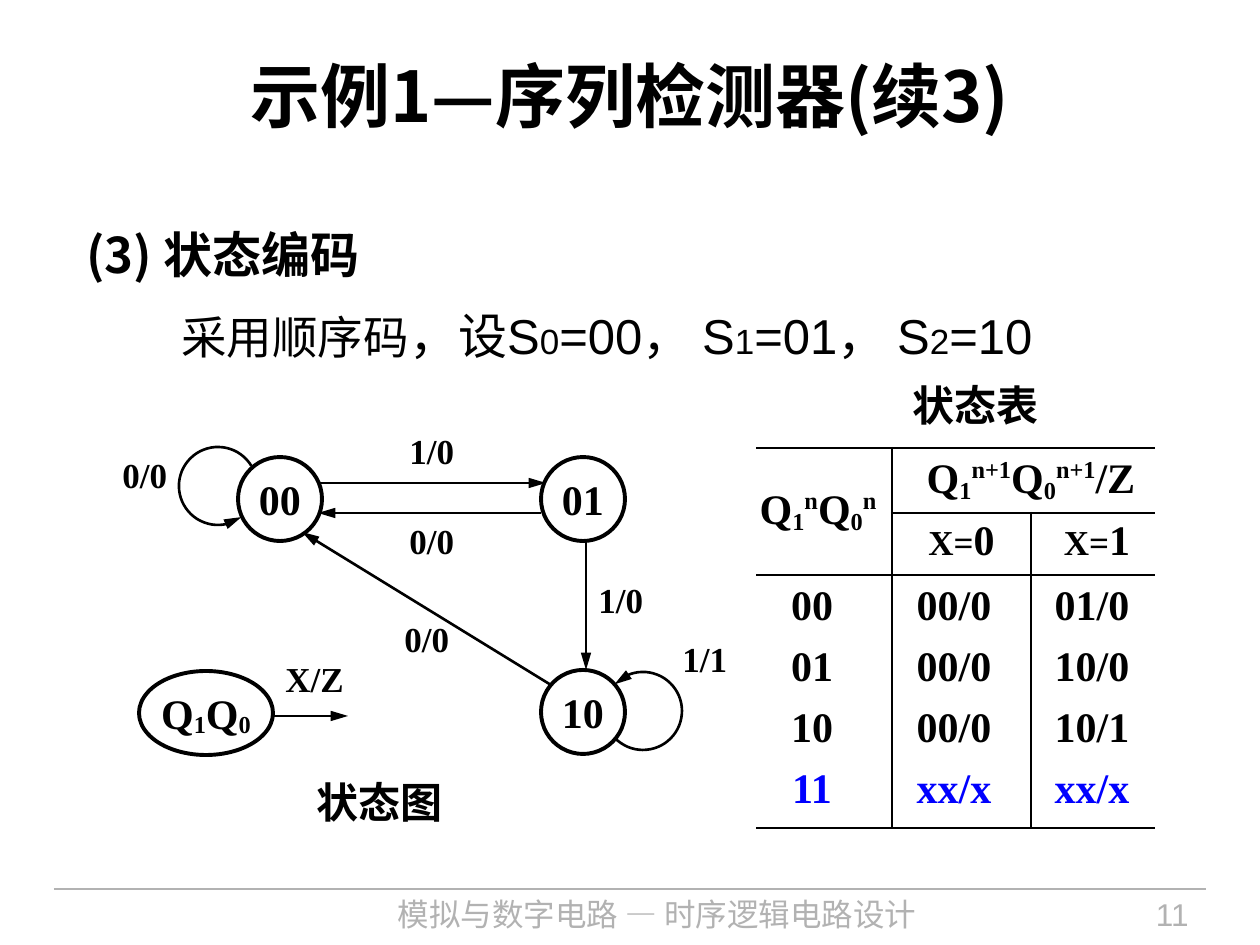
import math
from lxml import etree
from pptx import Presentation
from pptx.dml import color
from pptx.enum import shapes, text
from pptx.oxml import ns
from pptx import util as u

SCALE = 914400 / 126
BLACK, GREY, BLUE = "000000", "B2B2B2", "0000FF"
ROMAN, ARIAL, NOTO = "Times New Roman", "Arial", "Noto Sans CJK SC"
LEFT, MID, RIGHT = text.PP_ALIGN.LEFT, text.PP_ALIGN.CENTER, text.PP_ALIGN.RIGHT


def px(n):
    return u.Emu(round(n * SCALE))


def rgb(code):
    return color.RGBColor.from_string(code)


def add(parent, tag, **attrs):
    return etree.SubElement(parent, ns.qn(tag), attrs)


class Sketch:
    def __init__(self, slide):
        self.slide = slide
        self.shapes = slide.shapes

    def fill_text(self, para, runs, font=ROMAN, ink=BLACK, bold=True, align=LEFT):
        """Add runs given as (text, size) or (text, size, baseline in percent)."""
        para.alignment = align
        for words, size, *shift in runs:
            run = para.add_run()
            run.text = words
            run.font.size = u.Pt(size)
            run.font.bold = bold
            run.font.name = font
            run.font.color.rgb = rgb(ink)
            props = run.font._element
            add(props, "a:ea", typeface=NOTO)
            if shift:
                props.set("baseline", str(shift[0] * 1000))

    def label(self, x, y, w, h, runs, wrap=False, middle=False, **style):
        frame = self.shapes.add_textbox(px(x), px(y), px(w), px(h)).text_frame
        frame.word_wrap = wrap
        if not wrap:
            frame.margin_right = 0
        if middle:
            frame.vertical_anchor = text.MSO_ANCHOR.MIDDLE
        self.fill_text(frame.paragraphs[0], runs, **style)

    def stroke(self, line, width, ink=BLACK, head=False):
        line.color.rgb = rgb(ink)
        line.width = u.Pt(width)
        if head:
            add(line._get_or_add_ln(), "a:tailEnd", type="triangle", len="lg")

    def line(self, x1, y1, x2, y2, width=1.5, ink=BLACK, head=True):
        link = self.shapes.add_connector(
            shapes.MSO_CONNECTOR.STRAIGHT, px(x1), px(y1), px(x2), px(y2))
        self.stroke(link.line, width, ink, head)
        add(link._element.spPr, "a:effectLst")

    def state(self, x, y, w, h, runs):
        oval = self.shapes.add_shape(
            shapes.MSO_SHAPE.OVAL, px(x), px(y), px(w), px(h))
        oval.shadow.inherit = False
        oval.fill.background()
        self.stroke(oval.line, 2.25)
        frame = oval.text_frame
        frame.word_wrap = False
        frame.vertical_anchor = text.MSO_ANCHOR.MIDDLE
        self.fill_text(frame.paragraphs[0], runs, align=MID)

    def loop(self, x, y, radius, start, end, steps=48):
        """Draw an open arc with an arrowhead; angles are in degrees."""
        points = []
        for i in range(steps + 1):
            turn = math.radians(start + (end - start) * i / steps)
            points.append((px(x + radius * math.cos(turn)),
                           px(y + radius * math.sin(turn))))
        path = self.shapes.build_freeform(*points[0], scale=1.0)
        path.add_line_segments(points[1:], close=False)
        arc = path.convert_to_shape()
        arc.shadow.inherit = False
        arc.fill.background()
        self.stroke(arc.line, 1.5, head=True)

    def edge(self, cell, side, shown):
        line = add(cell._tc.get_or_add_tcPr(), "a:" + side, w=str(u.Pt(1.5)))
        if shown:
            add(add(line, "a:solidFill"), "a:srgbClr", val=BLACK)
        else:
            add(line, "a:noFill")

    def grid(self, x, y, cols, rows, cells, pads, merges, rule_x, rule_y):
        """Draw a table; pads(r, c) gives left, right and bottom margins."""
        table = self.shapes.add_table(
            len(rows), len(cols), px(x), px(y), px(sum(cols)), px(sum(rows))).table
        table.first_row = table.horz_banding = False
        for c, width in enumerate(cols):
            table.columns[c].width = px(width)
        for r, height in enumerate(rows):
            table.rows[r].height = px(height)
            for c in range(len(cols)):
                cell = table.cell(r, c)
                for side, shown in (("lnL", rule_x(r, c)), ("lnR", rule_x(r, c + 1)),
                                    ("lnT", rule_y(r, c)), ("lnB", rule_y(r + 1, c))):
                    self.edge(cell, side, shown)
                cell.fill.background()
                left, right, low = pads(r, c)
                cell.margin_left, cell.margin_right = px(left), px(right)
                cell.margin_top, cell.margin_bottom = 0, px(low)
                cell.vertical_anchor = text.MSO_ANCHOR.MIDDLE
                if (r, c) in cells:
                    runs, ink = cells[r, c]
                    self.fill_text(cell.text_frame.paragraphs[0], runs,
                                   ink=ink, align=MID)
        for first, last in merges:
            table.cell(*first).merge(table.cell(*last))


def code(sup):
    """Runs for Q1 Q0 with a superscript on each."""
    return [("Q", 24), ("1", 24, -15), (sup, 24, 35),
            ("Q", 24), ("0", 24, -15), (sup, 24, 35)]


def pads(r, c):
    if r > 1:
        return 0, (24, 15, 2)[c], 8 if r == 5 else 0
    return {(0, 0): (0, 12, 0), (0, 1): (15, 0, 0),
            (1, 2): (8, 0, 6), (1, 1): (0, 0, 6)}.get((r, c), (0, 0, 0))


def main():
    deck = Presentation()
    deck.slide_width, deck.slide_height = px(1260), px(945)
    art = Sketch(deck.slides.add_slide(deck.slide_layouts[6]))

    # Footer
    art.line(54, 889, 1206, 889, 0.75, GREY, head=False)
    plain = dict(wrap=True, bold=False)
    art.label(302, 889, 710, 56, [("模拟与数字电路 — 时序逻辑电路设计", 18)],
              font=NOTO, ink=GREY, align=MID, **plain)
    art.label(1033, 889, 168, 56, [("11", 18)],
              font=ARIAL, ink=GREY, align=RIGHT, **plain)

    # Title and heading
    art.label(63, 21, 1134, 147, [("示例1—序列检测器(续3)", 40)],
              wrap=True, middle=True, font=NOTO, align=MID)
    art.label(74, 218, 546, 72, [("(3) ", 28), ("状态编码", 28)],
              wrap=True, font=NOTO)
    art.label(169, 299, 978, 72,
              [("采用顺序码", 26), ("，设S", 28), ("0", 20), ("=00， S", 28),
               ("1", 20), ("=01， S", 28), ("2", 20), ("=10", 28)],
              font=ARIAL, **plain)

    # State diagram: transitions
    for ends in ((318, 483, 546, 483), (541, 513, 318, 513), (586, 542, 586, 670),
                 (551, 685, 302, 532), (272, 716, 348, 716)):
        art.line(*ends)
    art.loop(218, 486, 39, -31, -307)
    art.loop(643, 711, 39, 136, -137)
    for x, y, mark in ((397, 423, "1/0"), (586, 572, "1/0"), (392, 611, "0/0"),
                       (397, 513, "0/0"), (110, 447, "0/0"), (670, 631, "1/1")):
        art.label(x, y, 69, 55, [(mark, 20)])
    art.label(273, 651, 83, 55, [("X/Z", 20)])

    # State diagram: states and legend
    for x, y, name in ((238, 457, "00"), (541, 457, "01"), (541, 670, "10")):
        art.state(x, y, 84, 84, [(name, 24)])
    art.state(139, 671, 134, 84,
              [("Q", 24), ("1", 24, -10), ("Q", 24), ("0", 24, -10)])

    # Captions
    for x, y, name in ((304, 770, "状态图"), (900, 373, "状态表")):
        art.label(x, y, 151, 63, [(name, 24)], font=ARIAL)

    # State table
    cells = {(0, 0): (code("n"), BLACK),
             (0, 1): (code("n+1") + [("/Z", 24)], BLACK),
             (1, 1): ([("X=", 20), ("0", 24)], BLACK),
             (1, 2): ([("X=", 20), ("1", 24)], BLACK)}
    body = (("00", "00/0", "01/0"), ("01", "00/0", "10/0"),
            ("10", "00/0", "10/1"), ("11", "xx/x", "xx/x"))
    for r, row in enumerate(body, 2):
        for c, value in enumerate(row):
            cells[r, c] = ([(value, 24)], BLUE if row[0] == "11" else BLACK)
    art.grid(756, 448, (136, 139, 124), (65, 62, 62, 61, 61, 69), cells, pads,
             merges=(((0, 0), (1, 0)), ((0, 1), (0, 2))),
             rule_x=lambda r, x: x == 1 or (x == 2 and r > 0),
             rule_y=lambda y, c: y in (0, 2, 6) or (y == 1 and c > 0))

    deck.save("out.pptx")


if __name__ == "__main__":
    main()
